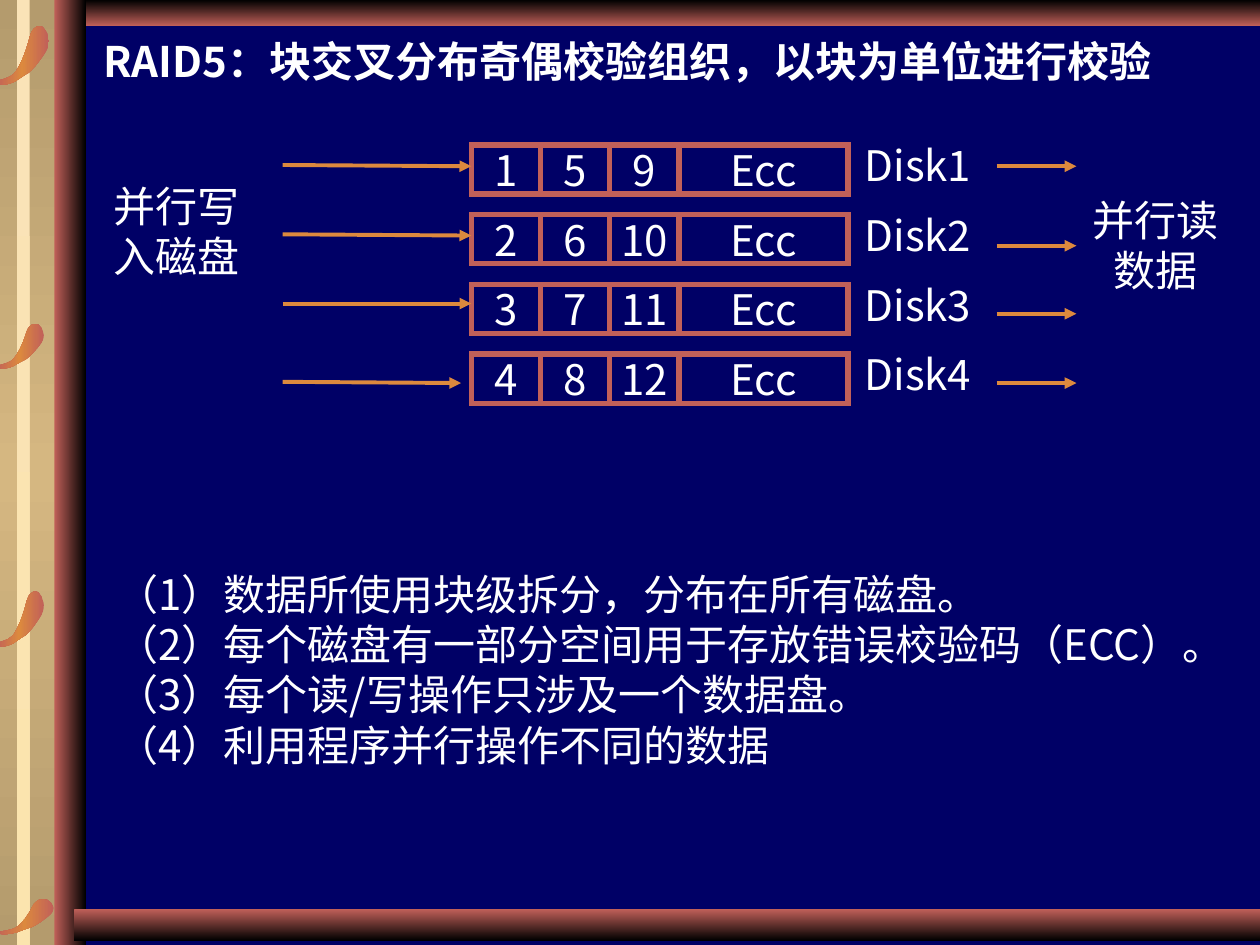
from copy import deepcopy
from pptx import Presentation
from pptx.dml.color import RGBColor
from pptx.enum.shapes import MSO_CONNECTOR as Connector, MSO_SHAPE as Shape
from pptx.enum.text import MSO_ANCHOR as Anchor, MSO_AUTO_SIZE as AutoSize, PP_ALIGN as Align
from pptx.oxml.ns import qn
from pptx.oxml.xmlchemy import OxmlElement
from pptx.util import Pt

SANS = "Noto Sans CJK SC"
NAVY, WHITE, RUST, ORANGE, BLACK = "000066", "FFFFFF", "C16059", "DC893E", "000000"

TITLE = "RAID5：块交叉分布奇偶校验组织，以块为单位进行校验"
NOTES = [
    "（1）数据所使用块级拆分，分布在所有磁盘。",
    "（2）每个磁盘有一部分空间用于存放错误校验码（ECC）。",
    "（3）每个读/写操作只涉及一个数据盘。",
    "（4）利用程序并行操作不同的数据",
]
DISKS = [
    ("Disk1", ["1", "5", "9", "Ecc"]),
    ("Disk2", ["2", "6", "10", "Ecc"]),
    ("Disk3", ["3", "7", "11", "Ecc"]),
    ("Disk4", ["4", "8", "12", "Ecc"]),
]
WRITE_ARROWS = [
    (94.3, 269.3, 95),
    (133.9, 269.3, 134.6),
    (173.5, 269.3, 173.5),
    (218.2, 263.5, 218.9),
]
READ_ARROWS = [95, 140.4, 179.3, 218.9]

TOP_BAR = ((48.2, 0, 671.8, 14.9), [BLACK, RUST], 270)
SCROLL = ((0, 0, 39.6, 540), ["B49B6D", "D5B781", "B49B6D"], 270)
STRIPE = ((9.8, 0, 7.2, 540), ["FAE3B7", "FBE4AE"], 270)
SIDE_BAR = ((31, 0, 18, 540), [RUST, BLACK], 0)
BOTTOM_BAR = ((42.5, 519.5, 677.5, 18), [RUST, BLACK], 270)

CURL_FRAMES = [
    (-2.9, 513.8, 33.8, 20.2),
    (-2.9, 338, 28.1, 31.7),
    (-2.9, 185, 28.1, 25.9),
    (-2.9, 14.9, 31, 33.8),
]
CURL_SIZE = (43, 47)
CURL = [
    (0, 44), (0, 43), (5, 43), (7, 42), (10, 41), (13, 40), (15, 38),
    (18, 35), (20, 30), (22, 26), (24, 21), (26, 15), (27, 11),
    (28, 7), (29, 4), (31, 2), (32, 0), (35, 0), (36, 0),
    (38, 0), (38, 1), (39, 2), (40, 4), (42, 5), (42, 8),
    (43, 10), (43, 13), (42, 17), (41, 20), (38, 24), (35, 28),
    (33, 31), (30, 34), (27, 37), (23, 39), (19, 42), (16, 44),
    (12, 46), (10, 46), (7, 47), (5, 47), (0, 45), (0, 44),
]

CELL_LEFT, CELL_TOP, ROW_STEP, CELL_HEIGHT = 269.3, 82.8, 39.84, 28.1
CELL_WIDTHS = [39.6, 39.6, 39.6, 96.5]


def rgb(hex_color):
    return RGBColor.from_string(hex_color)


def set_all(target, values):
    for name, value in values.items():
        setattr(target, name, value)


def shade(shape, colors, angle):
    shape.shadow.inherit = False
    shape.line.fill.background()
    shape.fill.gradient()
    shape.fill.gradient_angle = angle
    stop_list = shape._element.spPr.find(qn("a:gradFill")).find(qn("a:gsLst"))
    while len(stop_list) < len(colors):
        stop_list.append(deepcopy(stop_list[0]))
    for index, (stop, color) in enumerate(zip(shape.fill.gradient_stops, colors)):
        stop.color.rgb = rgb(color)
        stop.position = index / (len(colors) - 1)


def add_bar(frame, colors, angle):
    bar = slide.shapes.add_shape(Shape.RECTANGLE, *map(Pt, frame))
    shade(bar, colors, angle)


def round_segments(shape):
    segments = list(shape._element.iter(qn("a:lnTo")))
    for start in range(0, len(segments), 3):
        curve = OxmlElement("a:cubicBezTo")
        segments[start].addprevious(curve)
        for segment in segments[start:start + 3]:
            curve.append(segment[0])
            segment.getparent().remove(segment)


def add_curl(left, top, width, height):
    scale_x, scale_y = width / CURL_SIZE[0], height / CURL_SIZE[1]
    outline = [(Pt(left + x * scale_x), Pt(top + y * scale_y)) for x, y in CURL]
    builder = slide.shapes.build_freeform(*outline[0])
    builder.add_line_segments(outline[1:], close=True)
    curl = builder.convert_to_shape()
    round_segments(curl)
    shade(curl, [RUST, ORANGE, RUST], 0)


def write(shape, lines, insets, align=Align.LEFT, font_name=SANS, bold=False, **frame_format):
    frame = shape.text_frame
    margins = dict(zip(("margin_left", "margin_top", "margin_right", "margin_bottom"), map(Pt, insets)))
    set_all(frame, {"word_wrap": True, "auto_size": AutoSize.NONE, **margins, **frame_format})
    for index, line in enumerate(lines):
        paragraph = frame.paragraphs[0] if index == 0 else frame.add_paragraph()
        paragraph.alignment = align
        run = paragraph.add_run()
        run.text = line
        set_all(run.font, {"size": Pt(24), "name": font_name, "bold": bold})
        run.font.color.rgb = rgb(WHITE)
        east_asian = OxmlElement("a:ea")
        east_asian.set("typeface", SANS)
        run.font._element.find(qn("a:latin")).addnext(east_asian)


def add_text(frame, lines, insets, **text_format):
    write(slide.shapes.add_textbox(*map(Pt, frame)), lines, insets, **text_format)


def add_cell(frame, block):
    cell = slide.shapes.add_shape(Shape.RECTANGLE, *map(Pt, frame))
    cell.shadow.inherit = False
    cell.fill.background()
    cell.line.color.rgb = rgb(RUST)
    cell.line.width = Pt(3)
    corner = OxmlElement("a:miter")
    corner.set("lim", "800000")
    cell.line._get_or_add_ln().append(corner)
    write(cell, [block], PADDED, word_wrap=False, **CENTERED)


def add_arrow(*ends):
    arrow = slide.shapes.add_connector(Connector.STRAIGHT, *map(Pt, ends))
    arrow.line.color.rgb = rgb(ORANGE)
    arrow.line.width = Pt(2.25)
    head = OxmlElement("a:tailEnd")
    head.set("type", "triangle")
    arrow.line._get_or_add_ln().append(head)
    arrow._element.spPr.append(OxmlElement("a:effectLst"))


prs = Presentation()
prs.slide_width, prs.slide_height = Pt(720), Pt(540)
slide = prs.slides.add_slide(prs.slide_layouts[6])
slide.background.fill.solid()
slide.background.fill.fore_color.rgb = rgb(NAVY)

for bar in (TOP_BAR, SCROLL, STRIPE):
    add_bar(*bar)
add_curl(*CURL_FRAMES[0])
add_bar(*SIDE_BAR)
for curl_frame in CURL_FRAMES[1:]:
    add_curl(*curl_frame)
add_bar(*BOTTOM_BAR)

FLUSH, PADDED = (0, 0, 0, 0), (7.2, 3.6, 7.2, 3.6)
CENTERED = {"align": Align.CENTER, "vertical_anchor": Anchor.MIDDLE}

add_text((48.2, 20.2, 635, 28.8), [TITLE], (11, 0, 0, 0), bold=True)

for row, (disk, blocks) in enumerate(DISKS):
    top = CELL_TOP + row * ROW_STEP
    left = CELL_LEFT
    for block, width in zip(blocks, CELL_WIDTHS):
        add_cell((left, top, width, CELL_HEIGHT), block)
        left += width
    add_text((490.3, top, 68.4, 23), [disk], PADDED, word_wrap=False, **CENTERED)

add_text((59.5, 321.1, 660.2, 122.4), NOTES, (7.2, 3.6, 40, 3.6))
add_text((64.8, 103, 90.7, 57.6), ["并行写入磁盘"], FLUSH, font_name="Arial", vertical_anchor=Anchor.MIDDLE)
add_text((614.9, 110.9, 90.7, 57.6), ["并行读数据"], FLUSH, font_name="Arial", **CENTERED)

for start_y, end_x, end_y in WRITE_ARROWS:
    add_arrow(161.5, start_y, end_x, end_y)
for y in READ_ARROWS:
    add_arrow(569.5, y, 615.1, y)

prs.save("out.pptx")
